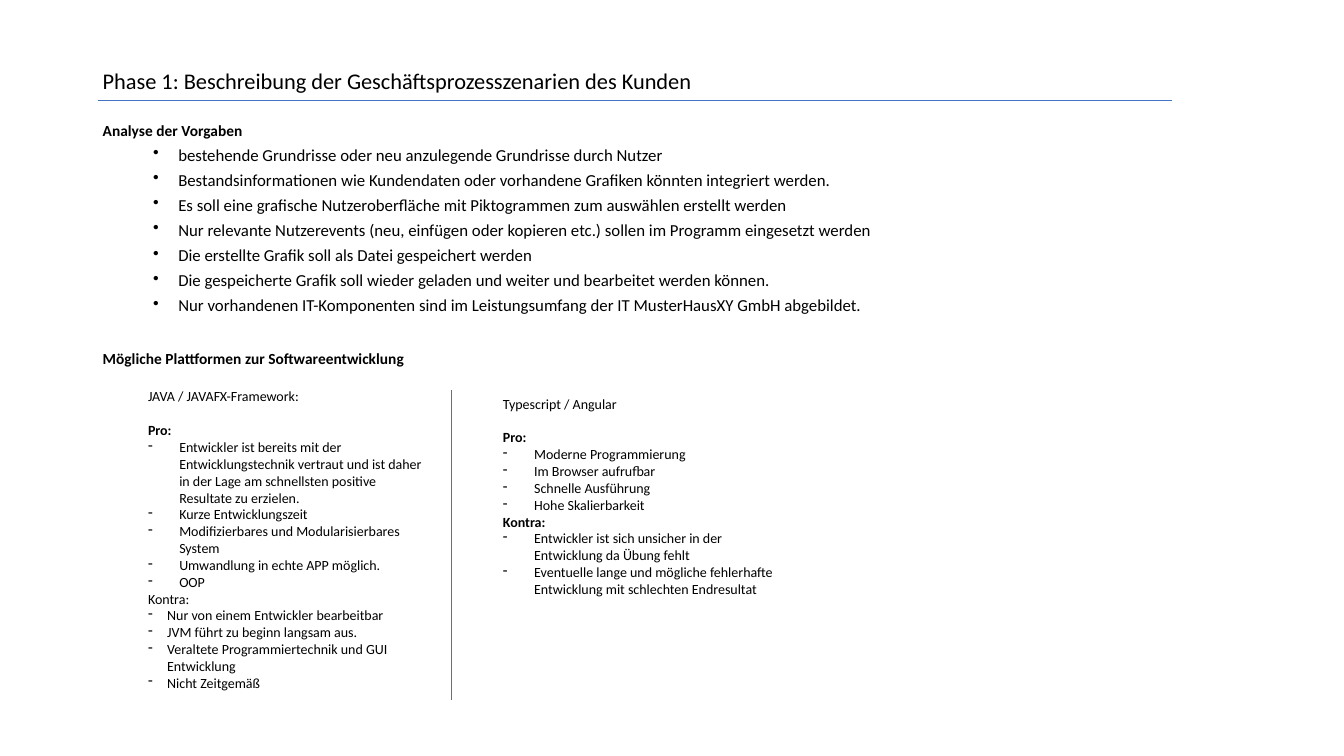
from lxml import etree
from pptx import Presentation
from pptx import util as u
from pptx.dml.color import RGBColor
from pptx.enum import shapes, text
from pptx.oxml import ns

BLACK = RGBColor(0, 0, 0)
BLUE = RGBColor(0x44, 0x72, 0xC4)
FONT = "Calibri"
WIDTH, HEIGHT = 13.33, 7.5
MARGIN, CONTENT_WIDTH = 0.92, 11.5
PLATFORM_WIDTH = 2.93

TITLE = "Phase 1: Beschreibung der Geschäftsprozesszenarien des Kunden"
ANALYSIS = "Analyse der Vorgaben"
REQUIREMENTS = [
    "bestehende Grundrisse oder neu anzulegende Grundrisse durch Nutzer",
    "Bestandsinformationen wie Kundendaten oder vorhandene Grafiken könnten integriert werden.",
    "Es soll eine grafische Nutzeroberfläche mit Piktogrammen zum auswählen erstellt werden",
    "Nur relevante Nutzerevents (neu, einfügen oder kopieren etc.) sollen im Programm eingesetzt werden",
    "Die erstellte Grafik soll als Datei gespeichert werden",
    "Die gespeicherte Grafik soll wieder geladen und weiter und bearbeitet werden können.",
    "Nur vorhandenen IT-Komponenten sind im Leistungsumfang der IT MusterHausXY GmbH abgebildet.",
]
PLATFORMS_HEADING = "Mögliche Plattformen zur Softwareentwicklung"
PLATFORMS = [
    {"name": "JAVA / JAVAFX-Framework:", "at": (1.37, 3.8), "height": 3.3,
     "sections": [
         ("Pro:", True, 0.31, [
             "Entwickler ist bereits mit der Entwicklungstechnik vertraut und ist daher "
             "in der Lage am schnellsten positive Resultate zu erzielen.",
             "Kurze Entwicklungszeit",
             "Modifizierbares und Modularisierbares System",
             "Umwandlung in echte APP möglich.",
             "OOP"]),
         ("Kontra:", False, 0.19, [
             "Nur von einem Entwickler bearbeitbar",
             "JVM führt zu beginn langsam aus.",
             "Veraltete Programmiertechnik und GUI Entwicklung",
             "Nicht Zeitgemäß"])]},
    {"name": "Typescript / Angular", "at": (4.89, 3.87), "height": 2.12,
     "sections": [
         ("Pro:", True, 0.31, [
             "Moderne Programmierung",
             "Im Browser aufrufbar",
             "Schnelle Ausführung",
             "Hohe Skalierbarkeit"]),
         ("Kontra:", True, 0.31, [
             "Entwickler ist sich unsicher in der Entwicklung da Übung fehlt",
             "Eventuelle lange und mögliche fehlerhafte Entwicklung mit schlechten Endresultat"])]},
]
RULES = [((4.48, 3.87), (4.48, 6.94)), ((0.97, 1), (11.62, 1))]

deck = Presentation()
deck.slide_width, deck.slide_height = u.Inches(WIDTH), u.Inches(HEIGHT)
slide = deck.slides.add_slide(deck.slide_layouts[6])


def line(words, size, bold=False, bullet=None, left=0, hang=0, spacing=1.0, before=0, after=0):
    return dict(words=words, size=size, bold=bold, bullet=bullet, left=left,
                hang=hang, spacing=spacing, before=before, after=after)


def add_text(x, y, width, height, lines, anchor=text.MSO_ANCHOR.TOP):
    frame = slide.shapes.add_textbox(*map(u.Inches, (x, y, width, height))).text_frame
    frame.word_wrap = True
    frame.vertical_anchor = anchor
    frame.text = "\n".join(entry["words"] for entry in lines)
    for paragraph, entry in zip(frame.paragraphs, lines):
        paragraph.line_spacing = entry["spacing"]
        paragraph.space_before = u.Pt(entry["before"])
        paragraph.space_after = u.Pt(entry["after"])
        font = paragraph.runs[0].font
        font.name, font.size, font.bold = FONT, u.Pt(entry["size"]), entry["bold"]
        font.color.rgb = BLACK
        if entry["bullet"]:
            properties = paragraph._p.get_or_add_pPr()
            properties.set("marL", str(u.Inches(entry["left"])))
            properties.set("indent", str(-u.Inches(entry["hang"])))
            etree.SubElement(properties, ns.qn("a:buChar")).set("char", entry["bullet"])


def platform_lines(platform):
    lines = [line(platform["name"], 10, after=12.2)]
    for heading, bold, indent, points in platform["sections"]:
        lines.append(line(heading, 10, bold))
        lines += [line(point, 10, bullet="-", left=indent, hang=indent) for point in points]
    return lines


add_text(MARGIN, 0.09, CONTENT_WIDTH, 1.45, [line(TITLE, 16, spacing=0.9)],
         text.MSO_ANCHOR.MIDDLE)
add_text(MARGIN, 1.17, CONTENT_WIDTH, 2.1,
         [line(ANALYSIS, 11, True, spacing=0.9, before=10)]
         + [line(requirement, 12, bullet="•", left=0.75, hang=0.25, spacing=0.9, before=5)
            for requirement in REQUIREMENTS])
add_text(MARGIN, 3.43, CONTENT_WIDTH, 0.29,
         [line(PLATFORMS_HEADING, 11, True, spacing=0.9, before=10)])
for platform in PLATFORMS:
    add_text(*platform["at"], PLATFORM_WIDTH, platform["height"], platform_lines(platform))

for start, end in RULES:
    rule = slide.shapes.add_connector(shapes.MSO_CONNECTOR.STRAIGHT,
                                      *map(u.Inches, start + end))
    rule.line.color.rgb = BLUE
    rule.line.width = u.Pt(0.5)
    etree.SubElement(rule._element.spPr, ns.qn("a:effectLst"))

deck.save("out.pptx")
